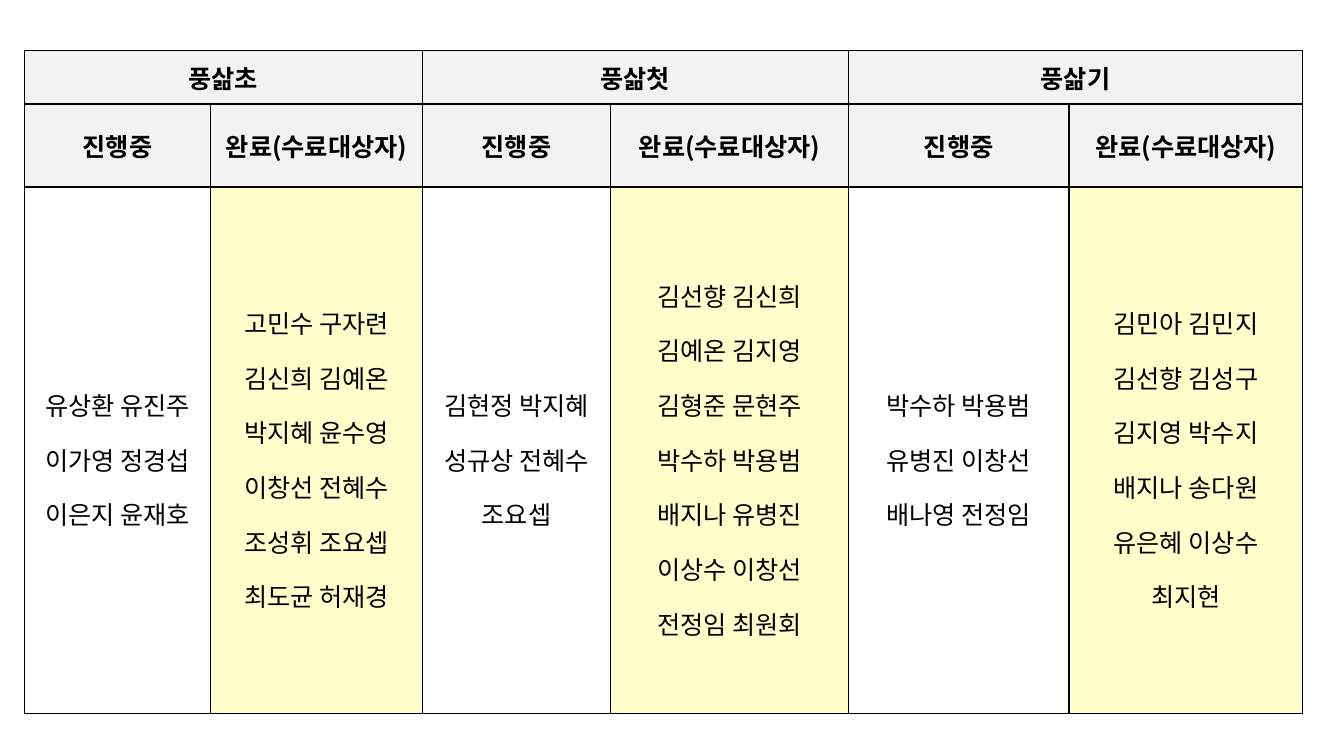
from lxml.etree import SubElement
from pptx import Presentation
from pptx.dml.color import RGBColor
from pptx.enum.text import MSO_ANCHOR, PP_ALIGN
from pptx.oxml import parse_xml
from pptx.oxml.ns import nsdecls, qn
from pptx.util import Cm, Pt

FONT = "Noto Sans CJK KR"
COLORS = {"text": "000000", "border": "000000", "header": "F2F2F2",
          "ongoing": "FFFFFF", "completed": "FFFFCC"}
COLUMN_WIDTHS = [4.7, 5.33, 4.75, 5.99, 5.56, 5.89]
ROW_HEIGHTS = [1.35, 1.35, 13.26]

# Each course: paragraphs of names in progress, then paragraphs of names completed
COURSES = {
    "풍삶초": (
        ["유상환 유진주 이가영 정경섭", "이은지 윤재호"],
        ["고민수 구자련 김신희 김예온 박지혜 윤수영 "
         "이창선 전혜수 조성휘 조요셉 최도균 허재경"],
    ),
    "풍삶첫": (
        ["김현정 박지혜 성규상 전혜수 조요셉"],
        ["김선향 김신희", "김예온 김지영", "김형준 문현주", "박수하 박용범",
         "배지나 유병진", "이상수 이창선", "전정임 최원회"],
    ),
    "풍삶기": (
        ["박수하 박용범", "유병진 이창선", "배나영 전정임"],
        ["김민아 김민지", "김선향 김성구", "김지영 박수지", "배지나 송다원",
         "유은혜 이상수", "최지현"],
    ),
}
STATUSES = [("진행중", "ongoing"), ("완료(수료대상자)", "completed")]


def write_text(text_frame, lines, size=18, bold=False, line_spacing=1.0):
    for index, line in enumerate(lines):
        paragraph = text_frame.paragraphs[0] if index == 0 else text_frame.add_paragraph()
        paragraph.alignment = PP_ALIGN.CENTER
        paragraph.line_spacing = line_spacing
        run = paragraph.add_run()
        run.text = line
        run.font.name = FONT
        run.font.size = Pt(size)
        run.font.bold = bold
        run.font.color.rgb = RGBColor.from_string(COLORS["text"])
        SubElement(run.font._element, qn("a:ea"), typeface=FONT)


def style_cell(cell, color):
    cell.vertical_anchor = MSO_ANCHOR.MIDDLE
    cell.fill.solid()
    cell.fill.fore_color.rgb = RGBColor.from_string(COLORS[color])
    # Borders come before the fill in the cell properties
    properties = cell._tc.get_or_add_tcPr()
    for position, side in enumerate("LRTB"):
        properties.insert(position, parse_xml(
            f'<a:ln{side} {nsdecls("a")} w="{Pt(1)}"><a:solidFill>'
            f'<a:srgbClr val="{COLORS["border"]}"/></a:solidFill></a:ln{side}>'))


def add_course_table(slide):
    frame = slide.shapes.add_table(len(ROW_HEIGHTS), len(COLUMN_WIDTHS), Cm(0.61), Cm(1.27),
                                   Cm(sum(COLUMN_WIDTHS)), Cm(sum(ROW_HEIGHTS)))
    table = frame.table
    table.horz_banding = False
    for column, width in zip(table.columns, COLUMN_WIDTHS):
        column.width = Cm(width)
    for row, height in zip(table.rows, ROW_HEIGHTS):
        row.height = Cm(height)

    for course_index, (course, name_groups) in enumerate(COURSES.items()):
        first = course_index * len(STATUSES)
        # Course heading over its two status columns
        heading = table.cell(0, first)
        heading.merge(table.cell(0, first + 1))
        write_text(heading.text_frame, [course], bold=True)
        # Status heading and names
        for column, ((status, color), names) in enumerate(zip(STATUSES, name_groups), first):
            style_cell(table.cell(0, column), "header")
            style_cell(table.cell(1, column), "header")
            style_cell(table.cell(2, column), color)
            write_text(table.cell(1, column).text_frame, [status], bold=True)
            write_text(table.cell(2, column).text_frame, names, line_spacing=1.5)


def main():
    presentation = Presentation()
    presentation.slide_width = Cm(33.87)
    presentation.slide_height = Cm(19.05)
    slide = presentation.slides.add_slide(presentation.slide_layouts[6])
    add_course_table(slide)
    presentation.save("out.pptx")


if __name__ == "__main__":
    main()
